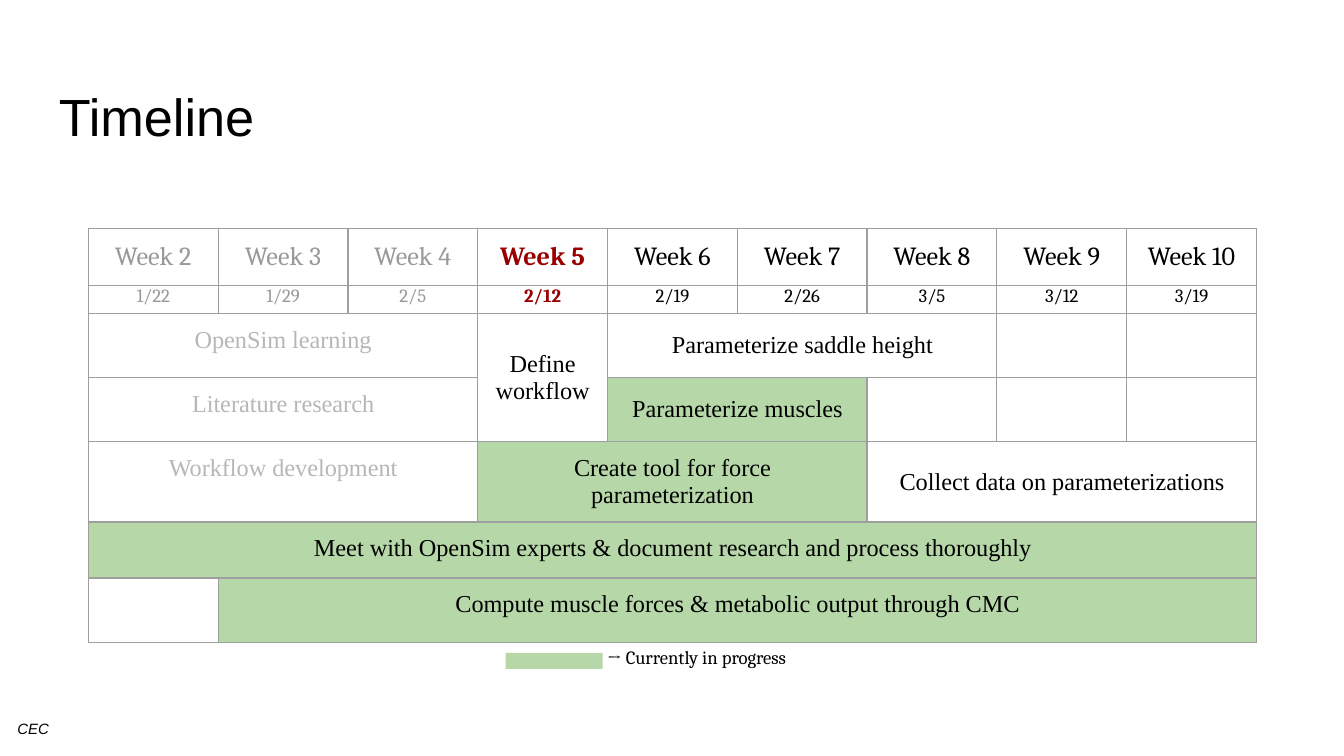
from pptx import Presentation
from pptx.dml.color import RGBColor
from pptx.enum.shapes import MSO_SHAPE
from pptx.enum.text import MSO_ANCHOR, PP_ALIGN
from pptx.oxml import parse_xml
from pptx.oxml.ns import nsdecls
from pptx.util import Pt

# Content
HUES = {"ink": "000000", "past": "999999", "done": "B7B7B7",
        "now": "980000", "live": "B6D7A8", "line": "9E9E9E"}
WEEKS = [("Week 2", "1/22"), ("Week 3", "1/29"), ("Week 4", "2/5"),
         ("Week 5", "2/12"), ("Week 6", "2/19"), ("Week 7", "2/26"),
         ("Week 8", "3/5"), ("Week 9", "3/12"), ("Week 10", "3/19")]
NOW = 3  # column of the current week
TOP, MID = MSO_ANCHOR.TOP, MSO_ANCHOR.MIDDLE
# text, row, column, rows spanned, columns spanned, state, anchor
TASKS = [
    ("OpenSim learning", 2, 0, 1, 3, "done", TOP),
    ("Define workflow", 2, 3, 2, 1, "plan", MID),
    ("Parameterize saddle height", 2, 4, 1, 3, "plan", MID),
    ("Literature research", 3, 0, 1, 3, "done", TOP),
    ("Parameterize muscles", 3, 4, 1, 2, "live", MID),
    ("Workflow development", 4, 0, 1, 3, "done", TOP),
    ("Create tool for force parameterization", 4, 3, 1, 3, "live", TOP),
    ("Collect data on parameterizations", 4, 6, 1, 3, "plan", MID),
    ("Meet with OpenSim experts & document research and process thoroughly",
     5, 0, 1, 9, "live", TOP),
    ("Compute muscle forces & metabolic output through CMC",
     6, 1, 1, 8, "live", TOP),
]
# text, left, top, width, height, top inset, font, size, italic
NOTES = [
    ("Timeline", 24.5, 35.3, 671, 45.4, 9.6, "Arial", 28, False),
    ("→ Currently in progress", 318.2, 339.8, 184.3, 26.6, 7.2,
     "Cambria", 10, False),
    ("CEC", 2.2, 380.9, 37.4, 24.5, 7.2, "Arial", 8, True),
]
ROWS = [30.5, 15, 34.4, 34.4, 43, 30, 34.4]
COL = 69.55
PAD = Pt(7.2)


def rgb(name):
    return RGBColor.from_string(HUES[name])


def style(para, face, size, hue="ink", bold=False, slant=False):
    for run in para.runs:
        font = run.font
        font.name, font.size = face, Pt(size)
        font.bold, font.italic = bold, slant
        font.color.rgb = rgb(hue)


def frame(cell):
    """Draw thin borders on all four sides of a cell."""
    props = cell._tc.get_or_add_tcPr()
    for side in "LRTB":
        props.append(parse_xml(
            f'<a:ln{side} {nsdecls("a")} w="9525"><a:solidFill>'
            f'<a:srgbClr val="{HUES["line"]}"/></a:solidFill></a:ln{side}>'))


def write(cell, text, face, size, hue, bold=False, pad=PAD):
    cell.text_frame.text = text
    cell.margin_left = cell.margin_right = PAD
    cell.margin_top = cell.margin_bottom = pad
    para = cell.text_frame.paragraphs[0]
    para.alignment = PP_ALIGN.CENTER
    style(para, face, size, hue, bold)


deck = Presentation()
deck.slide_width, deck.slide_height = Pt(720), Pt(405)
slide = deck.slides.add_slide(deck.slide_layouts[6])

# Schedule grid
grid = slide.shapes.add_table(
    len(ROWS), len(WEEKS), Pt(47.3), Pt(122.4),
    Pt(COL * len(WEEKS)), Pt(sum(ROWS))).table
grid.first_row = grid.horz_banding = False
for row, high in zip(grid.rows, ROWS):
    row.height = Pt(high)
for col in grid.columns:
    col.width = Pt(COL)
for cell in grid.iter_cells():
    frame(cell)
    cell.fill.background()

# Week and date rows
for c, (week, date) in enumerate(WEEKS):
    hue = "past" if c < NOW else "now" if c == NOW else "ink"
    write(grid.cell(0, c), week, "Cambria", 14, hue, c == NOW)
    write(grid.cell(1, c), date, "Cambria", 10, hue, c == NOW, 0)

# Tasks
for text, r, c, down, over, state, anchor in TASKS:
    cell = grid.cell(r, c)
    cell.merge(grid.cell(r + down - 1, c + over - 1))
    write(cell, text, "Times New Roman", 13,
          "done" if state == "done" else "ink")
    cell.vertical_anchor = anchor
    if state == "live":
        cell.fill.solid()
        cell.fill.fore_color.rgb = rgb("live")

# Legend swatch
key = slide.shapes.add_shape(
    MSO_SHAPE.RECTANGLE, Pt(270.9), Pt(349.8), Pt(51.9), Pt(8.6))
key.shadow.inherit = False
key.fill.solid()
key.fill.fore_color.rgb = rgb("live")
key.line.fill.background()

# Title, legend text and footer
for text, x, y, w, h, pad, face, size, slant in NOTES:
    box = slide.shapes.add_textbox(Pt(x), Pt(y), Pt(w), Pt(h)).text_frame
    box.word_wrap = True
    box.margin_left = box.margin_right = box.margin_bottom = PAD
    box.margin_top = Pt(pad)
    box.text = text
    style(box.paragraphs[0], face, size, slant=slant)

deck.save("out.pptx")
